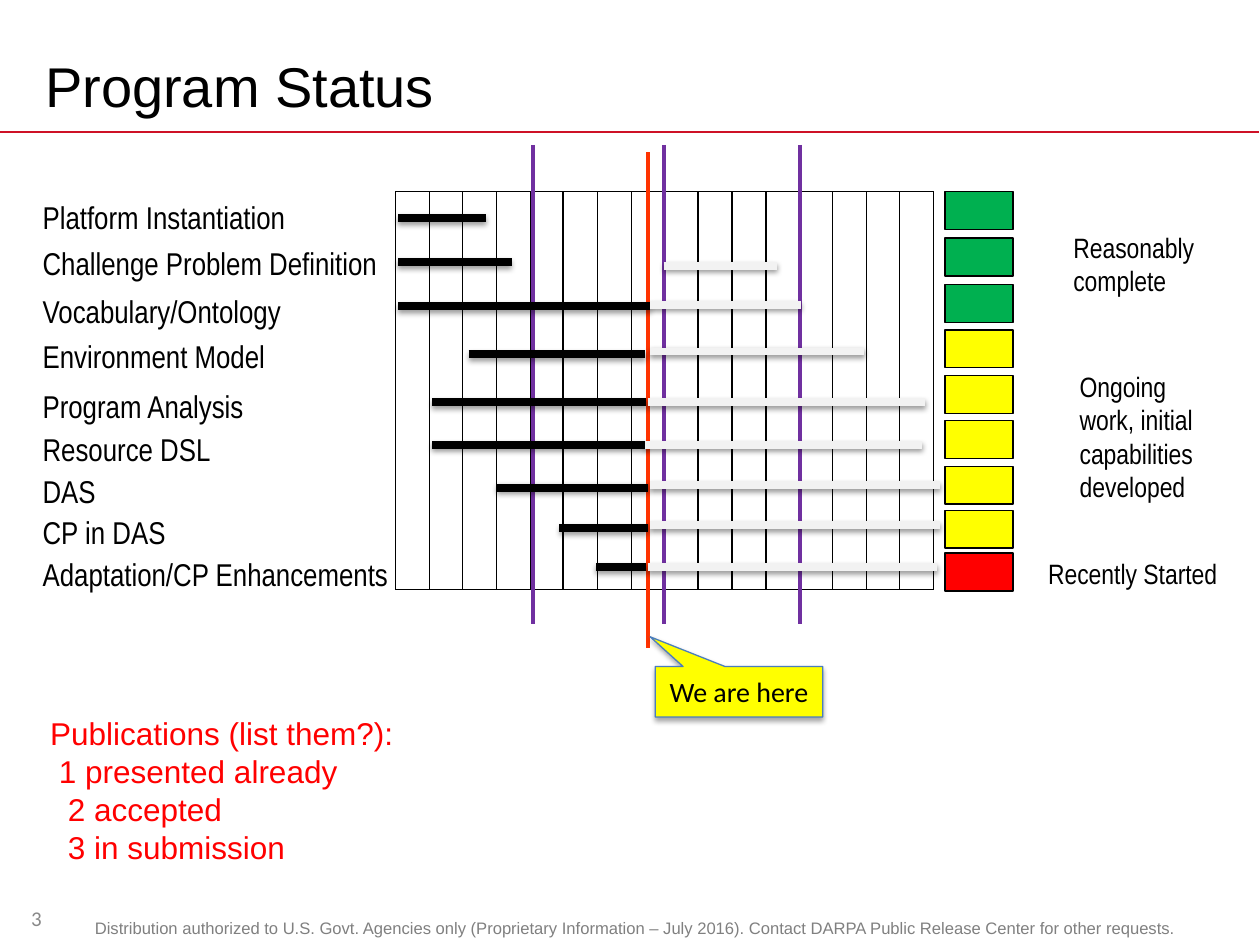
from dataclasses import dataclass
from itertools import product

from lxml.etree import SubElement
from pptx import Presentation
from pptx.dml.color import RGBColor
from pptx.enum.shapes import MSO_CONNECTOR as Conn, MSO_SHAPE as Shape
from pptx.enum.text import MSO_ANCHOR as Anchor, MSO_AUTO_SIZE as Auto, PP_ALIGN as Align
from pptx.oxml.ns import qn
from pptx.util import Pt

PX = 9144


@dataclass(frozen=True)
class Theme:
    black: str = "000000"
    rule: str = "CE1126"
    footer: str = "808080"
    number: str = "898989"
    milestone: str = "7030A0"
    today: str = "FF3300"
    planned: str = "F2F2F2"
    callout_line: str = "4B7EBC"
    green: str = "00B050"
    yellow: str = "FFFF00"
    red: str = "FF0000"
    sans: str = "Arial"
    narrow: str = "Arial Narrow"
    rounded: str = "Calibri"
    title: float = 32
    body: float = 18
    note: float = 16
    number_size: float = 12
    small: float = 9.5
    thin: float = 0.75
    bar: float = 4.5


T = Theme()


def emu(*lengths):
    return [n * PX for n in lengths]


def assign(obj, values):
    for name, value in values.items():
        setattr(obj, name, value)


class SlideBuilder:
    def __init__(self, prs, theme):
        self.t = theme
        self.s = prs.slides.add_slide(prs.slide_layouts[6])

    def effects(self, sp, shadow=None):
        lst = SubElement(sp._element.spPr, qn("a:effectLst"))
        if shadow:
            alpha, blur, dist = shadow
            outer = SubElement(lst, qn("a:outerShdw"), blurRad=str(Pt(blur)),
                               dist=str(Pt(dist)), dir="5400000", rotWithShape="0")
            color = SubElement(outer, qn("a:srgbClr"), val=self.t.black)
            SubElement(color, qn("a:alpha"), val=str(alpha * 1000))

    def stroke(self, sp, color, width):
        sp.line.color.rgb = RGBColor.from_string(color)
        sp.line.width = Pt(width)

    def line(self, x1, y1, x2, y2, color, width, shadow=None):
        ln = self.s.shapes.add_connector(Conn.STRAIGHT, *emu(x1, y1, x2, y2))
        self.stroke(ln, color, width)
        self.effects(ln, shadow)

    def bar(self, x1, x2, y, color):
        self.line(x1, y, x2, y, color, self.t.bar, (38, 3.1, 1.6))

    def shape(self, kind, box, fill=None, line=None, shadow=None):
        sp = self.s.shapes.add_shape(kind, *emu(*box))
        if fill:
            sp.fill.solid()
            sp.fill.fore_color.rgb = RGBColor.from_string(fill)
        else:
            sp.fill.background()
        self.stroke(sp, line or self.t.black, self.t.thin)
        self.effects(sp, shadow)
        return sp

    def fill_text(self, sp, lines, size, font, color, align=Align.LEFT,
                  anchor=Anchor.TOP, spacing=1.0, indents=(), auto=Auto.NONE):
        tf = sp.text_frame
        assign(tf, {"word_wrap": True, "vertical_anchor": anchor, "auto_size": auto})
        for i, text in enumerate(lines):
            p = tf.paragraphs[0] if i == 0 else tf.add_paragraph()
            if indents:
                p._p.get_or_add_pPr().set("marL", str(indents[i] * PX))
            assign(p, {"alignment": align, "line_spacing": spacing})
            r = p.add_run()
            r.text = text
            assign(r.font, {"size": Pt(size), "name": font})
            r.font.color.rgb = RGBColor.from_string(color)

    def text(self, box, lines, size, font, color, **layout):
        sp = self.s.shapes.add_textbox(*emu(*box))
        self.fill_text(sp, lines, size, font, color, **layout)

    def callout(self, box, text, tail):
        sp = self.shape(Shape.RECTANGULAR_CALLOUT, box, self.t.yellow,
                        self.t.callout_line, (35, 3.1, 1.8))
        for i, value in enumerate(tail):
            sp.adjustments[i] = value
        self.fill_text(sp, [text], self.t.note, self.t.rounded, self.t.black,
                       align=Align.CENTER, anchor=Anchor.MIDDLE)


FOOTER = ("Distribution authorized to U.S. Govt. Agencies only (Proprietary Information"
          " – July 2016). Contact DARPA Public Release Center for other requests.")
TASKS = [
    ("Platform Instantiation", 156, T.green, 152, (316, 386, 173), None),
    ("Challenge Problem Definition", 192, T.green, 189, (316, 406, 208), (527, 617, 211)),
    ("Vocabulary/Ontology", 230, T.green, 226, (316, 516, 243), (516, 636, 242)),
    ("Environment Model", 266, T.yellow, 262, (372, 512, 281), (516, 686, 279)),
    ("Program Analysis", 306, T.yellow, 298, (343, 513, 319), (514, 734, 319)),
    ("Resource DSL", 340, T.yellow, 334, (343, 513, 353), (512, 732, 353)),
    ("DAS", 373, T.yellow, 370, (394, 514, 387), (516, 746, 385)),
    ("CP in DAS", 406, T.yellow, 405, (444, 514, 419), (516, 746, 417)),
    ("Adaptation/CP Enhancements", 439, T.red, 439, (473, 513, 450), (514, 744, 450)),
]
STATUS_NOTES = [
    ((822, 437, 176, 37), "Recently Started"),
    ((847, 288, 125, 118), "Ongoing work, initial capabilities developed"),
    ((842, 178, 125, 64), "Reasonably complete"),
]
PUBLICATIONS = ["Publications (list them?):", "1 presented already", "2 accepted",
                "3 in submission"]
GRID_X, GRID_Y, GRID_W, GRID_H = 314, 152, 427, 316


def main():
    prs = Presentation()
    assign(prs, {"slide_width": 1000 * PX, "slide_height": 750 * PX})
    b = SlideBuilder(prs, T)

    b.line(0, 105, 999, 105, T.rule, 1)
    b.text((58, 727, 892, 26), [FOOTER], T.small, T.sans, T.footer,
           align=Align.CENTER, spacing=0.8)
    b.text((26, 30, 900, 75), ["Program Status"], T.title, T.sans, T.black,
           anchor=Anchor.MIDDLE)
    b.text((0, 709, 58, 40), ["3"], T.number_size, T.rounded, T.number,
           align=Align.CENTER, anchor=Anchor.MIDDLE)

    edges = [GRID_X + round(i * GRID_W / 16) for i in range(17)]
    for span in (4, 1):
        for left, right in zip(edges[:-1:span], edges[span::span]):
            b.shape(Shape.RECTANGLE, (left, GRID_Y, right - left, GRID_H))
    for x in (423, 527, 635):
        b.line(x, 115, x, 495, T.milestone, 2)
    b.line(514, 121, 514, 514, T.today, 2.25)
    b.callout((520, 529, 133, 40), "We are here", (-0.53, -1.09))

    for label, label_y, status, status_y, _, _ in TASKS:
        b.text((24, label_y, 314, 37), [label], T.body, T.narrow, T.black,
               spacing=0.9, auto=Auto.SHAPE_TO_FIT_TEXT)
        b.shape(Shape.RECTANGLE, (750, status_y, 54, 30), status)
    for box, note in STATUS_NOTES:
        b.text(box, [note], T.note, T.narrow, T.black, auto=Auto.SHAPE_TO_FIT_TEXT)
    b.text((30, 562, 356, 131), PUBLICATIONS, T.body, T.sans, T.red,
           indents=(0, 7, 14, 14), auto=Auto.SHAPE_TO_FIT_TEXT)

    for (column, color), task in product(((4, T.black), (5, T.planned)), TASKS):
        if task[column]:
            b.bar(*task[column], color)

    prs.save("out.pptx")


if __name__ == "__main__":
    main()
